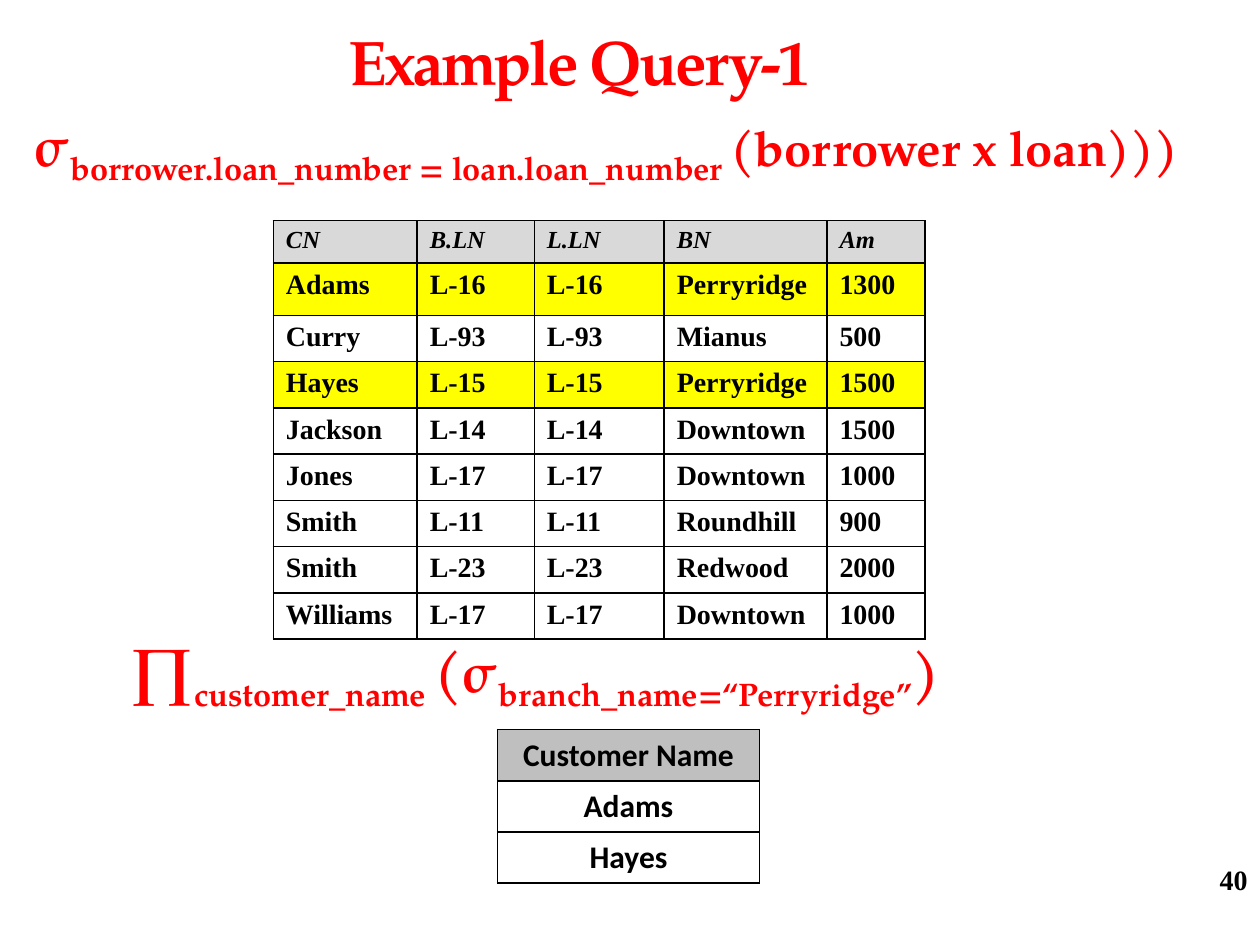
"""Build the "Example Query-1" slide on selection and projection of a join."""
from lxml import etree
from pptx import Presentation
from pptx.dml.color import RGBColor
from pptx.enum.text import MSO_ANCHOR, PP_ALIGN
from pptx.oxml.ns import qn
from pptx.util import Cm, Pt

LEFT, CENTER, RIGHT = PP_ALIGN.LEFT, PP_ALIGN.CENTER, PP_ALIGN.RIGHT
TOP, MIDDLE = MSO_ANCHOR.TOP, MSO_ANCHOR.MIDDLE
SERIF, TIMES, SANS = "TeX Gyre Pagella", "Times New Roman", "Calibri"
RED, BLACK, WHITE, YELLOW = "FF0000", "000000", "FFFFFF", "FFFF00"


def set_font(font, name, size, color, italic=False):
    font.name, font.size, font.bold, font.italic = name, Pt(size), True, italic
    font.color.rgb = RGBColor.from_string(color)


def set_borders(cell, color):
    tcPr = cell._tc.get_or_add_tcPr()
    for side in ("a:lnL", "a:lnR", "a:lnT", "a:lnB"):
        ln = etree.SubElement(tcPr, qn(side), w=str(Pt(1)))
        fill = etree.SubElement(ln, qn("a:solidFill"))
        etree.SubElement(fill, qn("a:srgbClr"), val=color)


prs = Presentation()
prs.slide_width, prs.slide_height = Cm(25.4), Cm(19.05)
s = prs.slides.add_slide(prs.slide_layouts[6])

texts = [
    ((3.18, 0.03, 16.99, 2.36), MIDDLE, CENTER, SERIF, RED, 0.25,
     [("Example Query-1", 36, 0, -150)]),
    ((23.7, 17.32, 1.7, 0.81), MIDDLE, RIGHT, TIMES, BLACK, 0.25,
     [("40", 16, 0, 0)]),
    ((0.43, 2.11, 24.49, 2.82), TOP, LEFT, SERIF, RED, 0.25,
     [("σ", 32, 0, 0),
      ("borrower.loan_number = loan.loan_number ", 32, -25000, 0),
      ("(borrower x loan)))", 28, 0, 0)]),
    ((2.18, 12.7, 20.98, 1.63), TOP, LEFT, SERIF, RED, 0.43,
     [("∏", 32, 0, 0), ("customer_name ", 32, -25000, 0), ("(σ", 32, 0, 0),
      ("branch_name=“Perryridge”", 32, -25000, 0), (")", 32, 0, 0)]),
]
for box, anchor, align, name, color, inset, runs in texts:
    tf = s.shapes.add_textbox(*map(Cm, box)).text_frame
    tf.word_wrap = True
    tf.vertical_anchor = anchor
    tf.margin_left = Cm(inset)
    p = tf.paragraphs[0]
    p.alignment = align
    for text, size, baseline, spacing in runs:
        r = p.add_run()
        r.text = text
        set_font(r.font, name, size, color)
        rPr = r._r.get_or_add_rPr()
        if baseline:
            rPr.set("baseline", str(baseline))
        if spacing:
            rPr.set("spc", str(spacing))

loans = [
    ("CN", "B.LN", "L.LN", "BN", "Am"),
    ("Adams", "L-16", "L-16", "Perryridge", "1300"),
    ("Curry", "L-93", "L-93", "Mianus", "500"),
    ("Hayes", "L-15", "L-15", "Perryridge", "1500"),
    ("Jackson", "L-14", "L-14", "Downtown", "1500"),
    ("Jones", "L-17", "L-17", "Downtown", "1000"),
    ("Smith", "L-11", "L-11", "Roundhill", "900"),
    ("Smith", "L-23", "L-23", "Redwood", "2000"),
    ("Williams", "L-17", "L-17", "Downtown", "1000"),
]
customers = [("Customer Name",), ("Adams",), ("Hayes",)]

tables = [
    (loans, 5.51, 4.45, (2.9, 2.36, 2.62, 3.28, 1.98), [0.8, 1.06] + [0.88] * 7,
     TIMES, 14, 16, True, "D9D9D9", LEFT),
    (customers, 10.03, 14.71, (5.28,), [1.03] * 3,
     SANS, 18, 18, False, "BFBFBF", CENTER),
]
for (rows, left, top, widths, heights, name, head_size, body_size,
     head_italic, head_fill, align) in tables:
    table = s.shapes.add_table(len(rows), len(widths), Cm(left), Cm(top),
                               Cm(sum(widths)), Cm(sum(heights))).table
    for column, width in zip(table.columns, widths):
        column.width = Cm(width)
    for i, (values, height) in enumerate(zip(rows, heights)):
        table.rows[i].height = Cm(height)
        head = i == 0
        fill = head_fill if head else YELLOW if "Perryridge" in values else WHITE
        for j, value in enumerate(values):
            cell = table.cell(i, j)
            set_borders(cell, BLACK)
            cell.fill.solid()
            cell.fill.fore_color.rgb = RGBColor.from_string(fill)
            cell.text = value
            p = cell.text_frame.paragraphs[0]
            p.alignment = align
            set_font(p.font, name, head_size if head else body_size, BLACK,
                     head and head_italic)

prs.save("out.pptx")
